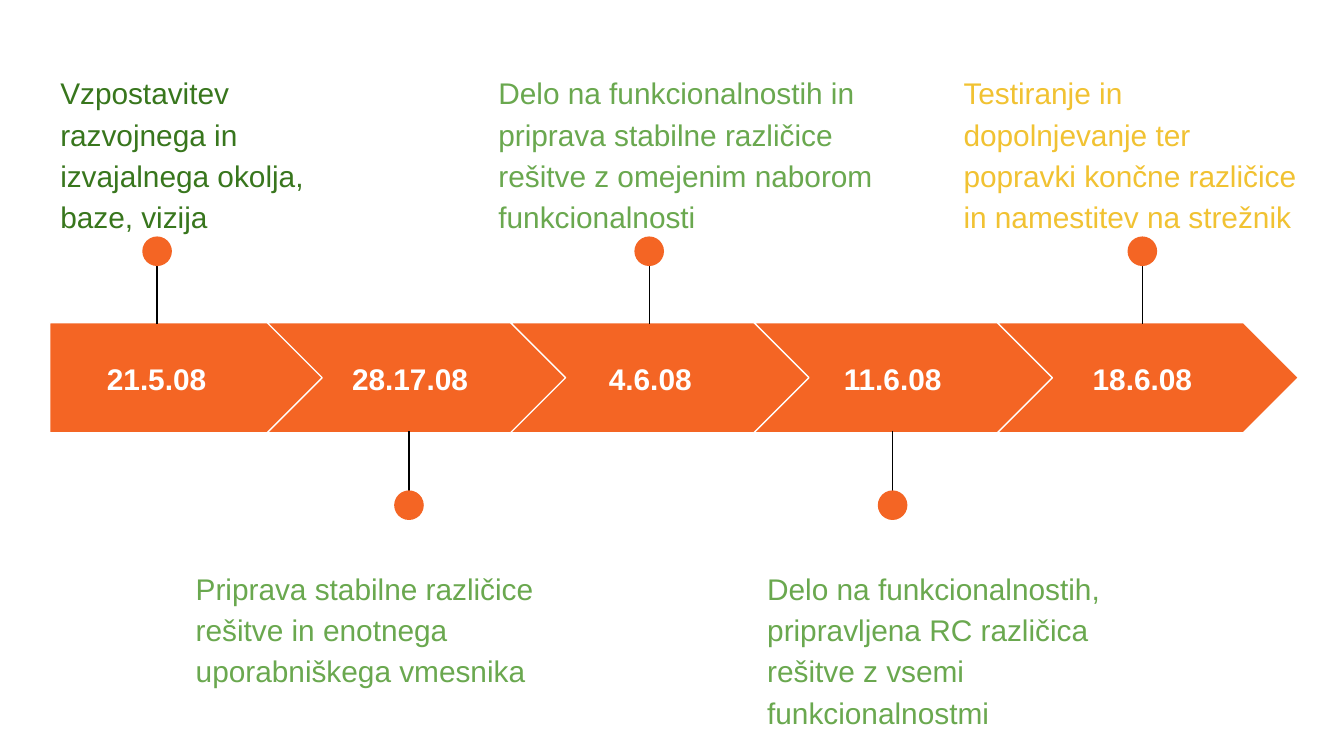
from dataclasses import dataclass

from lxml import etree
from pptx import Presentation
from pptx.dml.color import RGBColor
from pptx.enum import shapes, text
from pptx.oxml import ns
from pptx.util import Cm, Pt

COLORS = {
    "orange": "F46524",
    "white": "FFFFFF",
    "black": "000000",
    "dark green": "38761D",
    "green": "6AA84F",
    "yellow": "F1C232",
}

# All lengths are in centimetres.
BAND_TOP, BAND_HEIGHT = 6.1, 2.08
FIRST_LEFT, FIRST_WIDTH = 0.94, 5.21
CHEVRON_LEFT, CHEVRON_WIDTH, CHEVRON_PITCH = 5.05, 5.69, 4.6
DATE_TOP, DATE_HEIGHT = 6.5, 1.3
DOT_SIZE = 0.56
NOTE_HEIGHT = 2.51


@dataclass(frozen=True)
class Side:
    """Vertical places of a pin and its note, above or below the band."""
    note_top: float
    dot_top: float
    line_start: float
    line_end: float


ABOVE = Side(1.07, 4.47, 4.57, 6.12)
BELOW = Side(10.44, 9.27, 9.7, 8.15)


@dataclass(frozen=True)
class Milestone:
    date: str
    date_left: float
    date_width: float
    pin_x: float
    side: Side
    note: str
    note_left: float
    note_width: float
    note_color: str


MILESTONES = [
    Milestone("21.5.08", 0.94, 4.04, 2.97, ABOVE,
              "Vzpostavitev razvojnega in izvajalnega okolja, baze, vizija",
              0.89, 6.58, "dark green"),
    Milestone("28.17.08", 5.92, 3.66, 7.73, BELOW,
              "Priprava stabilne različice rešitve in enotnega "
              "uporabniškega vmesnika",
              3.45, 7.7, "green"),
    Milestone("4.6.08", 10.46, 3.66, 12.27, ABOVE,
              "Delo na funkcionalnostih in priprava stabilne različice "
              "rešitve z omejenim naborom funkcionalnosti",
              9.17, 7.7, "green"),
    Milestone("11.6.08", 15.04, 3.66, 16.87, BELOW,
              "Delo na funkcionalnostih, pripravljena RC različica "
              "rešitve z vsemi funkcionalnostmi",
              14.25, 7.34, "green"),
    Milestone("18.6.08", 19.76, 3.66, 21.59, ABOVE,
              "Testiranje in dopolnjevanje ter popravki končne različice "
              "in namestitev na strežnik",
              17.96, 6.83, "yellow"),
]

DATE_FORMAT = {"alignment": text.PP_ALIGN.CENTER}
NOTE_FORMAT = {"line_spacing": 1.15, "space_after": Pt(16)}


def rgb(name: str) -> RGBColor:
    return RGBColor.from_string(COLORS[name])


def set_all(target, values: dict) -> None:
    for name, value in values.items():
        setattr(target, name, value)


def add_filled(page, kind, left: float, top: float, width: float, height: float):
    shape = page.shapes.add_shape(kind, Cm(left), Cm(top), Cm(width), Cm(height))
    shape.shadow.inherit = False
    shape.fill.solid()
    shape.fill.fore_color.rgb = rgb("orange")
    shape.line.fill.background()
    return shape


def add_text(page, wording: str, left: float, top: float, width: float,
             height: float, color: str, bold: bool, anchor, layout: dict) -> None:
    box = page.shapes.add_textbox(Cm(left), Cm(top), Cm(width), Cm(height))
    frame = box.text_frame
    margins = {f"margin_{edge}": Cm(0.25)
               for edge in ("left", "top", "right", "bottom")}
    set_all(frame, {"word_wrap": True, "vertical_anchor": anchor, **margins})
    para = frame.paragraphs[0]
    set_all(para, layout)
    span = para.add_run()
    span.text = wording
    set_all(span.font, {"name": "Arial", "size": Pt(16), "bold": bold})
    span.font.color.rgb = rgb(color)


def add_arrow(page, index: int) -> None:
    """Draw one step of the band: a pentagon first, then chevrons."""
    if index == 0:
        kind, left, width = shapes.MSO_SHAPE.PENTAGON, FIRST_LEFT, FIRST_WIDTH
    else:
        kind, width = shapes.MSO_SHAPE.CHEVRON, CHEVRON_WIDTH
        left = CHEVRON_LEFT + (index - 1) * CHEVRON_PITCH
    arrow = add_filled(page, kind, left, BAND_TOP, width, BAND_HEIGHT)
    arrow.adjustments[0] = 0.5
    arrow.line.color.rgb = rgb("white")
    arrow.line.width = Pt(0.75)


def add_pin(page, x: float, side: Side) -> None:
    line = page.shapes.add_connector(
        shapes.MSO_CONNECTOR.STRAIGHT,
        Cm(x), Cm(side.line_start), Cm(x), Cm(side.line_end))
    line.line.color.rgb = rgb("black")
    line.line.width = Pt(0.75)
    etree.SubElement(line._element.spPr, ns.qn("a:effectLst"))
    add_filled(page, shapes.MSO_SHAPE.OVAL, x - DOT_SIZE / 2, side.dot_top,
               DOT_SIZE, DOT_SIZE)


def add_milestone(page, index: int, step: Milestone) -> None:
    add_arrow(page, index)
    add_text(page, step.date, step.date_left, DATE_TOP, step.date_width,
             DATE_HEIGHT, "white", True, text.MSO_ANCHOR.MIDDLE, DATE_FORMAT)
    add_pin(page, step.pin_x, step.side)
    add_text(page, step.note, step.note_left, step.side.note_top,
             step.note_width, NOTE_HEIGHT, step.note_color, False,
             text.MSO_ANCHOR.TOP, NOTE_FORMAT)


def main() -> None:
    deck = Presentation()
    deck.slide_width, deck.slide_height = Cm(25.4), Cm(14.29)
    page = deck.slides.add_slide(deck.slide_layouts.get_by_name("Blank"))
    for index, step in enumerate(MILESTONES):
        add_milestone(page, index, step)
    deck.save("out.pptx")


if __name__ == "__main__":
    main()
